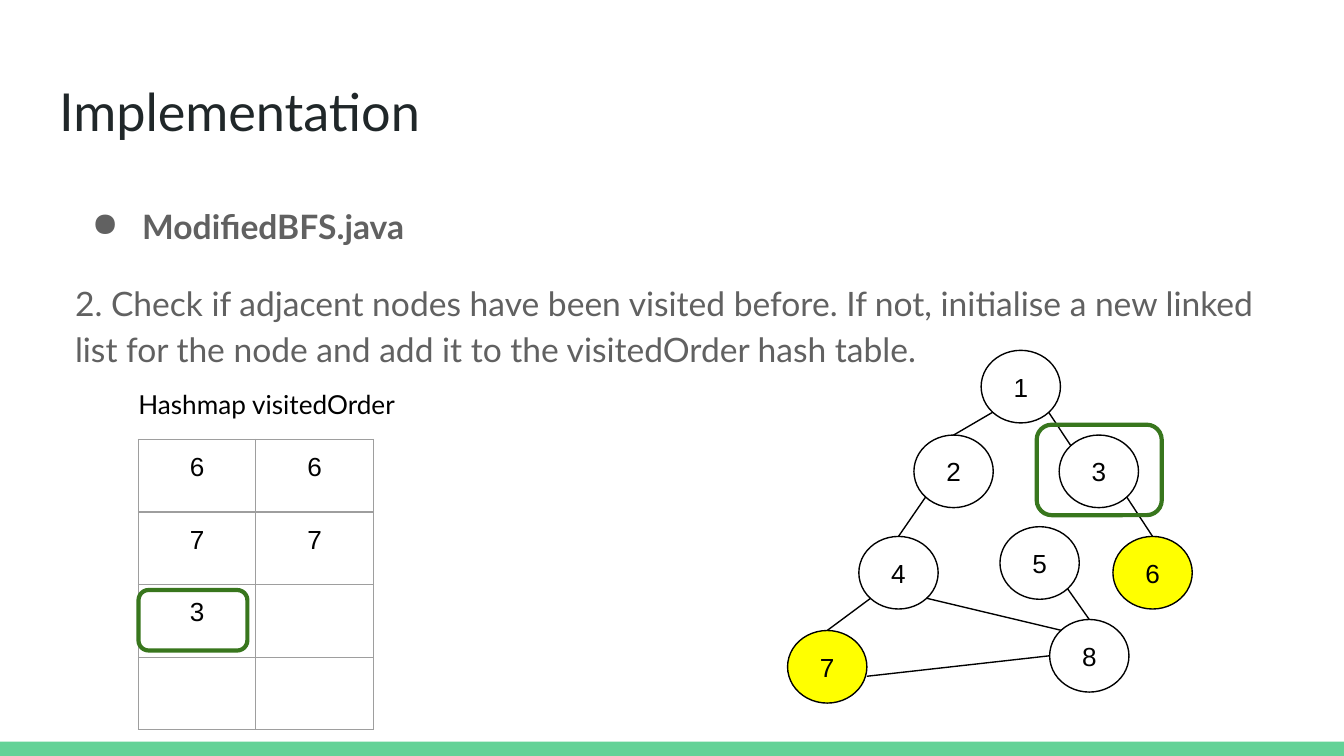
import pptx
import pptx.util
import pptx.dml.color
import pptx.enum.text
import pptx.enum.shapes
import pptx.oxml.ns
import lxml.etree

Pt = pptx.util.Pt
RGBColor = pptx.dml.color.RGBColor
MSO_SHAPE = pptx.enum.shapes.MSO_SHAPE
PP_ALIGN = pptx.enum.text.PP_ALIGN
MSO_ANCHOR = pptx.enum.text.MSO_ANCHOR
qn = pptx.oxml.ns.qn

BLACK = RGBColor(0x00, 0x00, 0x00)
INK = RGBColor(0x20, 0x27, 0x29)
GREY = RGBColor(0x61, 0x61, 0x61)
BORDER = RGBColor(0x9E, 0x9E, 0x9E)
MINT = RGBColor(0x63, 0xD2, 0x97)
YELLOW = RGBColor(0xFF, 0xFF, 0x00)
GREEN = RGBColor(0x38, 0x76, 0x1D)

INSET = 7.2
NODE_W, NODE_H = 42.5, 38.9
NODES = {
    "1": (525.6, 187.7),
    "2": (489.6, 233.1),
    "3": (567.4, 233.1),
    "4": (460.1, 287.4),
    "5": (535.7, 282.2),
    "6": (596.2, 287.4),
    "7": (421.9, 337.8),
    "8": (562.3, 331.9),
}
VISITED = ("6", "7")
SITES = {
    "top": (0.5, 0),
    "left": (0, 0.5),
    "top left": (0.15, 0.15),
    "bottom left": (0.15, 0.85),
    "bottom right": (0.85, 0.85),
    "low right": (1, 0.63),
}
EDGES = [
    ("1", "bottom left", "2", "top"),
    ("1", "bottom right", "3", "top left"),
    ("2", "bottom left", "4", "top"),
    ("3", "bottom right", "6", "top"),
    ("4", "bottom left", "7", "top"),
    ("5", "bottom right", "8", "top"),
    ("8", "top left", "4", "bottom right"),
    ("8", "left", "7", "low right"),
]
ROWS = [("6", "6"), ("7", "7"), ("3", ""), ("", "")]


def write(p, text, font="Arial", size=14, color=BLACK, bold=False,
          align=PP_ALIGN.LEFT, spacing=None, before=None):
    p.alignment = align
    if spacing is not None:
        p.line_spacing = spacing
    if before is not None:
        p.space_before = Pt(before)
    r = p.add_run()
    r.text = text
    r.font.name = font
    r.font.size = Pt(size)
    r.font.bold = bold
    r.font.color.rgb = color


def set_frame(tf, inset=INSET, anchor=MSO_ANCHOR.TOP, wrap=True):
    tf.margin_left = tf.margin_right = Pt(inset)
    tf.margin_top = tf.margin_bottom = Pt(inset)
    tf.vertical_anchor = anchor
    tf.word_wrap = wrap
    tf.auto_size = pptx.enum.text.MSO_AUTO_SIZE.NONE
    return tf


def add_title(s, text):
    sp = s.shapes.title
    sp.left, sp.top, sp.width, sp.height = Pt(24.5), Pt(35.3), Pt(671), Pt(45.4)
    write(set_frame(sp.text_frame).paragraphs[0], text, font="Lato", size=28, color=INK)


def add_text_box(s, x, y, w, h):
    return set_frame(s.shapes.add_textbox(Pt(x), Pt(y), Pt(w), Pt(h)).text_frame)


def add_bullet(p, char, margin, indent):
    pPr = p._p.get_or_add_pPr()
    pPr.set("marL", str(Pt(margin)))
    pPr.set("indent", str(Pt(indent)))
    lxml.etree.SubElement(pPr, qn("a:buChar")).set("char", char)


def add_shape(s, kind, x, y, w, h, fill=None, line=None, weight=0.75):
    sp = s.shapes.add_shape(kind, Pt(x), Pt(y), Pt(w), Pt(h))
    sp.shadow.inherit = False
    if fill is None:
        sp.fill.background()
    else:
        sp.fill.solid()
        sp.fill.fore_color.rgb = fill
    if line is None:
        sp.line.fill.background()
    else:
        sp.line.color.rgb = line
        sp.line.width = Pt(weight)
    return sp


def add_node(s, label, x, y):
    fill = YELLOW if label in VISITED else None
    sp = add_shape(s, MSO_SHAPE.OVAL, x, y, NODE_W, NODE_H, fill=fill, line=BLACK)
    tf = set_frame(sp.text_frame, inset=0, anchor=MSO_ANCHOR.MIDDLE, wrap=False)
    write(tf.paragraphs[0], label, align=PP_ALIGN.CENTER)


def site_point(label, site):
    x, y = NODES[label]
    across, down = SITES[site]
    return Pt(x + across * NODE_W), Pt(y + down * NODE_H)


def add_edge(s, start, start_site, end, end_site):
    c = s.shapes.add_connector(
        pptx.enum.shapes.MSO_CONNECTOR.STRAIGHT,
        *site_point(start, start_site), *site_point(end, end_site))
    c.line.color.rgb = BLACK
    c.line.width = Pt(0.75)
    lxml.etree.SubElement(c._element.spPr, qn("a:effectLst"))


def set_borders(cell):
    tcPr = cell._tc.get_or_add_tcPr()
    for i, side in enumerate(("a:lnL", "a:lnR", "a:lnT", "a:lnB")):
        ln = lxml.etree.Element(qn(side), w=str(Pt(0.75)))
        fill = lxml.etree.SubElement(ln, qn("a:solidFill"))
        lxml.etree.SubElement(fill, qn("a:srgbClr")).set("val", str(BORDER))
        tcPr.insert(i, ln)


def add_hash_table(s, x, y, col_w, row_h):
    rows, cols = len(ROWS), len(ROWS[0])
    table = s.shapes.add_table(
        rows, cols, Pt(x), Pt(y), Pt(col_w * cols), Pt(row_h * rows)).table
    table.first_row = table.horz_banding = False
    for col in table.columns:
        col.width = Pt(col_w)
    for row, values in zip(table.rows, ROWS):
        row.height = Pt(row_h)
        for cell, value in zip(row.cells, values):
            cell.fill.background()
            cell.margin_left = cell.margin_right = Pt(INSET)
            cell.margin_top = cell.margin_bottom = Pt(INSET)
            set_borders(cell)
            if value:
                write(cell.text_frame.paragraphs[0], value, align=PP_ALIGN.CENTER)


def add_highlight(s, x, y, w, h):
    add_shape(s, MSO_SHAPE.ROUNDED_RECTANGLE, x, y, w, h, line=GREEN, weight=2.25)


def main():
    prs = pptx.Presentation()
    prs.slide_width, prs.slide_height = Pt(720), Pt(405)
    s = prs.slides.add_slide(prs.slide_layouts[5])
    add_shape(s, MSO_SHAPE.RECTANGLE, 0, 397.4, 720, 7.6, fill=MINT)
    add_title(s, "Implementation")

    tf = add_text_box(s, 33.1, 100.1, 671, 102.2)
    body = dict(font="Lato", size=18, color=GREY, spacing=1.15)
    add_bullet(tf.paragraphs[0], "●", 36, -27)
    write(tf.paragraphs[0], "ModifiedBFS.java", bold=True, **body)
    write(tf.add_paragraph(),
          "2. Check if adjacent nodes have been visited before. If not, initialise "
          "a new linked list for the node and add it to the visitedOrder hash table.",
          before=16, **body)

    add_hash_table(s, 74.2, 235.4, 62.9, 38.9)
    tf = add_text_box(s, 67, 200.9, 260.6, 28.1)
    write(tf.paragraphs[0], "Hashmap visitedOrder", font="Lato")

    for label, (x, y) in NODES.items():
        add_node(s, label, x, y)
    for edge in EDGES:
        add_edge(s, *edge)
    add_highlight(s, 555.4, 227.5, 67, 48.5)
    add_highlight(s, 74.2, 316.1, 58.3, 32.4)
    prs.save("out.pptx")


if __name__ == "__main__":
    main()
